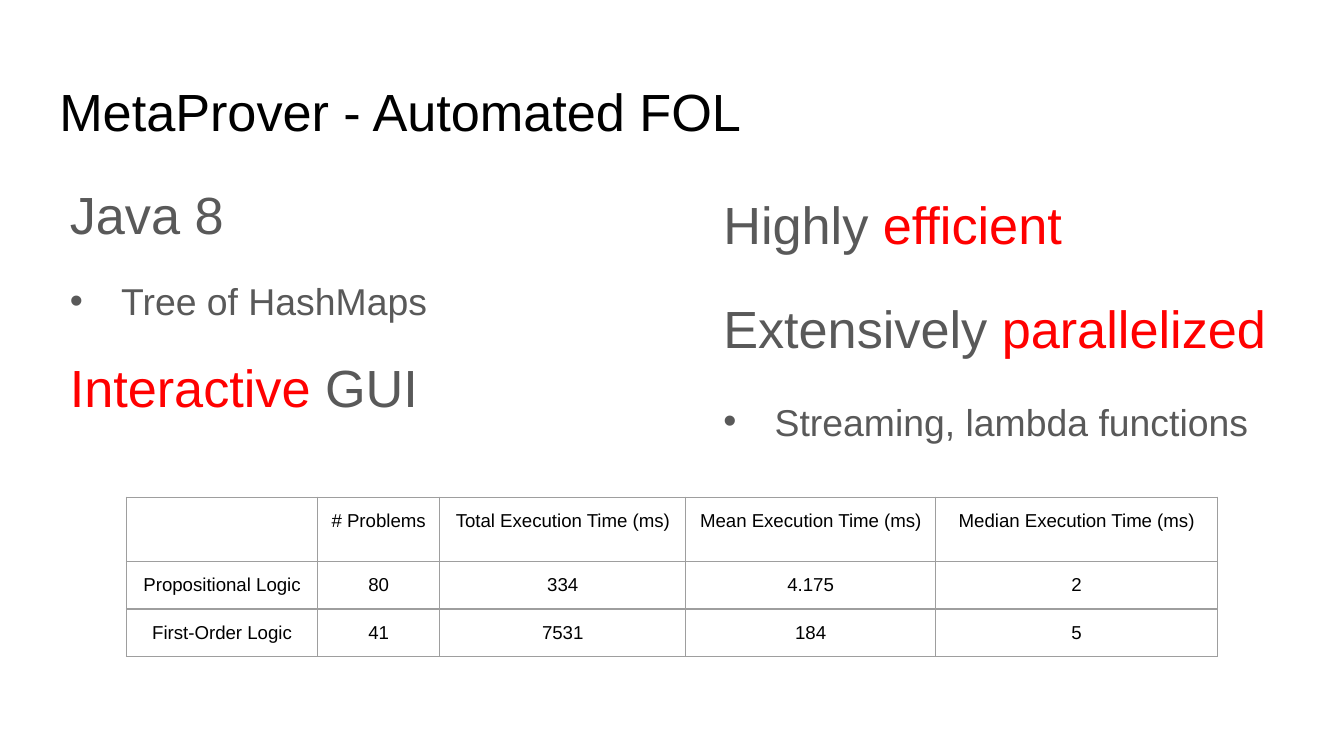
"""Build the MetaProver slide with two text columns and a table of timings."""
from lxml.etree import SubElement
from pptx import Presentation
from pptx.dml.color import RGBColor
from pptx.enum.text import MSO_ANCHOR, MSO_AUTO_SIZE, PP_ALIGN
from pptx.oxml.ns import qn
from pptx.util import Cm, Pt

BLACK, GREY, RED, RULE = "000000", "595959", "FF0000", "9E9E9E"


def color(code):
    return RGBColor.from_string(code)


def write(para, *runs, size=28, align=PP_ALIGN.LEFT, line=1.0, before=0,
          after=0, left=0, bullet=False):
    para.alignment, para.line_spacing = align, line
    para.space_before, para.space_after = Pt(before), Pt(after)
    props = para._p.get_or_add_pPr()
    hang = 0.97 if bullet else 0
    props.set("marL", str(Cm(left + hang)))
    props.set("indent", str(Cm(-hang)))
    if bullet:
        tint = SubElement(props, qn("a:buClr"))
        SubElement(tint, qn("a:srgbClr"), val=GREY)
        SubElement(props, qn("a:buFont"), typeface="Arial")
        SubElement(props, qn("a:buChar"), char="•")
    else:
        SubElement(props, qn("a:buNone"))
    for text, tone in runs:
        run = para.add_run()
        run.text = text
        run.font.name, run.font.size, run.font.bold = "Arial", Pt(size), False
        run.font.color.rgb = color(tone)


deck = Presentation()
deck.slide_width, deck.slide_height = Cm(25.4), Cm(14.29)
slide = deck.slides.add_slide(deck.slide_layouts[3])
slide.background.fill.solid()
slide.background.fill.fore_color.rgb = color("FFFFFF")
title, first, second = slide.placeholders

spots = [
    (title, 0.87, 1.24, 23.67, 1.6),
    (first, 0.87, 3.2, 11.1, 9.5),
    (second, 13.42, 3.2, 11.1, 9.5),
]
for box, left, top, width, height in spots:
    box.left, box.top = Cm(left), Cm(top)
    box.width, box.height = Cm(width), Cm(height)
    frame = box.text_frame
    frame.word_wrap, frame.auto_size = True, MSO_AUTO_SIZE.NONE
    frame.vertical_anchor = MSO_ANCHOR.TOP
    frame.margin_left = frame.margin_right = Cm(0.25)
    frame.margin_top = frame.margin_bottom = Cm(0.25)

write(title.text_frame.paragraphs[0], ("MetaProver - Automated FOL", BLACK))

columns = [
    (first, 1.0, 0.2, [
        ([("Java 8", GREY)], False),
        ([("Tree of HashMaps", GREY)], True),
        ([("Interactive ", RED), ("GUI", GREY)], False),
    ]),
    (second, 1.15, 0, [
        ([("Highly ", GREY), ("efficient", RED)], False),
        ([("Extensively ", GREY), ("parallelized", RED)], False),
        ([("Streaming, lambda functions", GREY)], True),
    ]),
]
for box, line, left, items in columns:
    frame = box.text_frame
    for i, (runs, bullet) in enumerate(items):
        para = frame.add_paragraph() if i else frame.paragraphs[0]
        write(para, *runs, size=20 if bullet else 28, line=line, before=1.5,
              after=16, left=left, bullet=bullet)

rows = [
    ["", "# Problems", "Total Execution Time (ms)",
     "Mean Execution Time (ms)", "Median Execution Time (ms)"],
    ["Propositional Logic", "80", "334", "4.175", "2"],
    ["First-Order Logic", "41", "7531", "184", "5"],
]
widths = [3.61, 2.31, 4.65, 4.72, 5.33]
grid = slide.shapes.add_table(len(rows), len(widths), Cm(2.39), Cm(9.4),
                              Cm(sum(widths)), Cm(2.7)).table
grid.first_row = grid.horz_banding = False
for col, width in zip(grid.columns, widths):
    col.width = Cm(width)
for row, texts in zip(grid.rows, rows):
    row.height = Cm(0.9)
    for cell, text in zip(row.cells, texts):
        cell.margin_left = cell.margin_right = Cm(0.25)
        cell.margin_top = cell.margin_bottom = Cm(0.25)
        props = cell._tc.get_or_add_tcPr()
        for side in ("lnL", "lnR", "lnT", "lnB"):
            edge = SubElement(props, qn(f"a:{side}"), w=str(Pt(0.75)))
            fill = SubElement(edge, qn("a:solidFill"))
            SubElement(fill, qn("a:srgbClr"), val=RULE)
        cell.fill.background()
        write(cell.text_frame.paragraphs[0], (text, BLACK), size=10,
              align=PP_ALIGN.CENTER)

deck.save("out.pptx")
